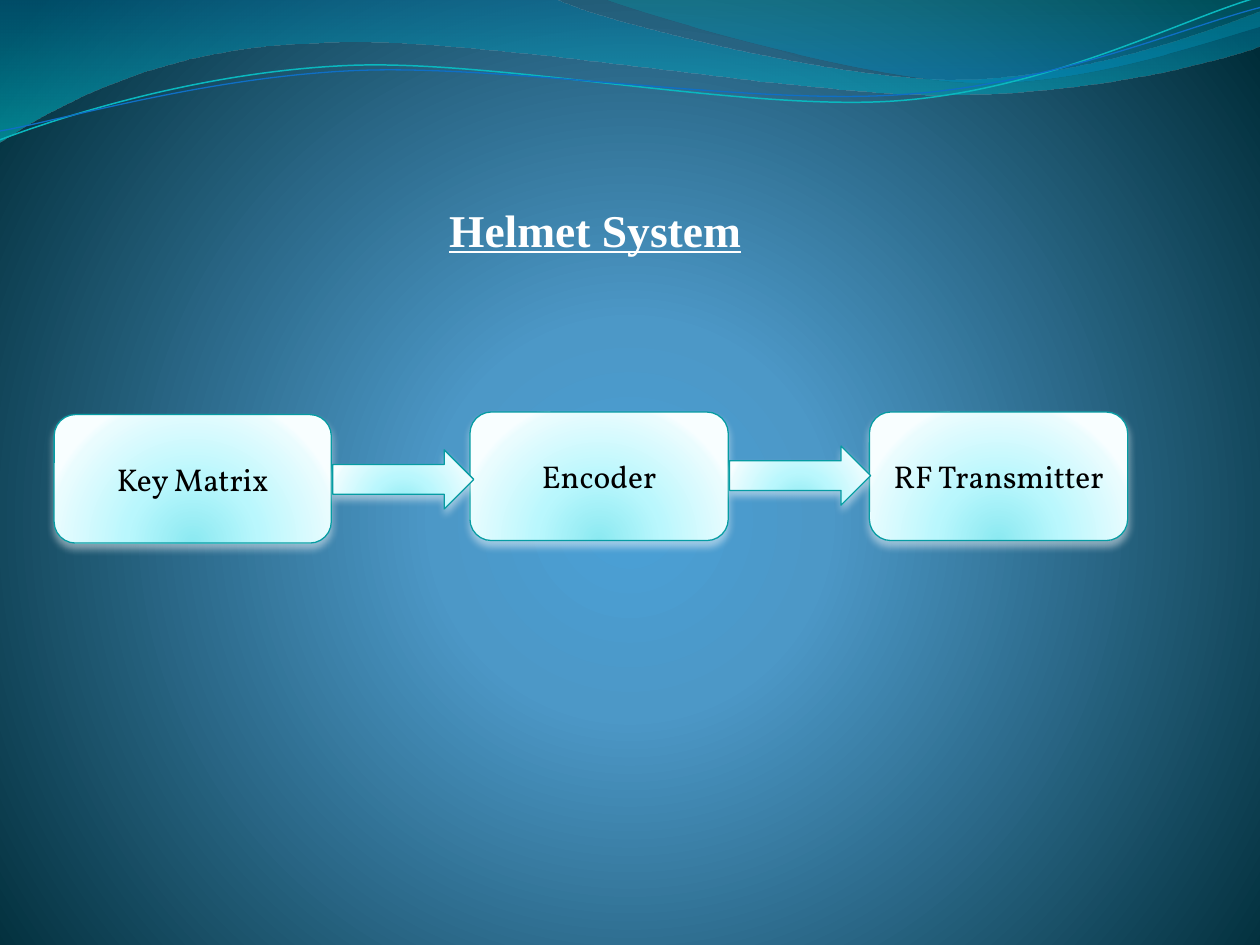
"""Build the Helmet System block diagram slide."""
from dataclasses import dataclass
from lxml import etree
from pptx import Presentation
from pptx.dml.color import RGBColor as RGB
from pptx.enum.shapes import MSO_SHAPE as Kind
from pptx.enum.text import MSO_ANCHOR as Anchor, PP_ALIGN as Align
from pptx.oxml.ns import qn
from pptx.util import Inches, Pt


@dataclass(frozen=True)
class Theme:
    back: tuple = ((0, "4AA0D6", 100), (25, "4C98C7", 100), (100, "002C38", 100))
    block: tuple = ((0, "8BE9F1", 100), (43, "B9F7FD", 100), (93, "EAFCFE", 100), (100, "F8FEFF", 100))
    broad: tuple = ((0, "0074A1", 45), (100, "00C6CF", 55))
    slim: tuple = ((0, "00A1A9", 30), (80, "008BBF", 45))
    cyan: str = "0AB8BF"
    blue: str = "0F6FC6"
    edge: str = "069CA3"
    glow: str = "FFFFFF"
    ink: str = "000000"
    head: str = "FFFFFF"
    head_font: str = "Times New Roman"
    font: str = "Vollkorn"
    head_size: int = 26
    size: int = 18


def shade(fill, root, stops, focus=None):
    fill.gradient()
    grad = root.find(".//" + qn("a:gradFill"))
    grad.clear()
    grad.set("rotWithShape", "1")
    ramp = etree.SubElement(grad, qn("a:gsLst"))
    for pos, tint, alpha in stops:
        stop = etree.SubElement(ramp, qn("a:gs"), pos=str(pos * 1000))
        color = etree.SubElement(stop, qn("a:srgbClr"), val=tint)
        if alpha < 100:
            etree.SubElement(color, qn("a:alpha"), val=str(alpha * 1000))
    if focus:
        path = etree.SubElement(grad, qn("a:path"), path="circle")
        sides = {side: str(num * 1000) for side, num in zip("ltrb", focus)}
        etree.SubElement(path, qn("a:fillToRect"), **sides)
    else:
        etree.SubElement(grad, qn("a:lin"), ang="5400000", scaled="1")


def sweep(shapes, start, parts, close):
    dots = [(Inches(part[i]), Inches(part[i + 1])) for part in parts for i in range(0, len(part), 2)]
    pen = shapes.build_freeform(Inches(start[0]), Inches(start[1]))
    pen.add_line_segments(dots, close=close)
    wave = pen.convert_to_shape()
    route = wave.element.find(".//" + qn("a:path"))
    legs = iter(route.findall(qn("a:lnTo")))
    for part in parts:
        leg = next(legs)
        if len(part) == 6:
            leg.addprevious(curve := etree.Element(qn("a:cubicBezTo")))
            for node in (leg, next(legs), next(legs)):
                curve.append(node[0])
                route.remove(node)
    return wave


theme = Theme()
deck = Presentation()
deck.slide_width, deck.slide_height = Inches(10), Inches(7.5)
slide = deck.slides.add_slide(deck.slide_layouts[5])
shapes = slide.shapes
shade(slide.background.fill, slide.element, theme.back, (10, 110, 10, 100))

waves = [
    ((0, 0), [(4.4, -0.01), (4.76, 0.17, 6.64, 0.63, 7.58, 0.63),
              (8.53, 0.63, 9.58, 0.26, 10, 0.09), (10.01, 0.36),
              (9.83, 0.44, 8.7, 0.76, 7.46, 0.75), (6.22, 0.75, 3.82, 0.28, 2.57, 0.34),
              (1.29, 0.36, 0.46, 0.83, -0.01, 1.13), (0, 0)], theme.broad, None, 0),
    ((4.79, -0.01), [(5.09, 0.11, 6.82, 0.62, 7.69, 0.65),
                     (8.56, 0.69, 9.61, 0.32, 10, 0.21), (10, 0), (4.79, -0.01)], theme.slim, None, 0),
    ((0, 1.11), [(0.48, 0.93, 1.58, 0.57, 2.77, 0.52), (3.95, 0.47, 5.93, 0.89, 7.13, 0.8),
                 (8.33, 0.71, 9.38, 0.15, 9.98, -0.02)], None, theme.cyan, 0.85),
    ((0, 1.04), [(0.47, 0.96, 1.64, 0.61, 2.83, 0.56), (4.03, 0.51, 5.97, 0.84, 7.17, 0.75),
                 (8.36, 0.67, 9.41, 0.21, 10, 0.06)], None, theme.blue, 0.75),
]
for start, parts, stops, tint, width in waves:
    wave = sweep(shapes, start, parts, stops is not None)
    wave.shadow.inherit = False
    if stops:
        shade(wave.fill, wave.element, stops)
        wave.line.fill.background()
    else:
        wave.fill.background()
        wave.line.color.rgb = RGB.from_string(tint)
        wave.line.width = Pt(width)

blocks = [
    (Kind.ROUNDED_RECTANGLE, 3.73, 3.27, 2.05, 1.02, "Encoder"),
    (Kind.ROUNDED_RECTANGLE, 6.9, 3.27, 2.05, 1.02, "RF Transmitter"),
    (Kind.RIGHT_ARROW, 5.79, 3.54, 1.12, 0.47, ""),
    (Kind.ROUNDED_RECTANGLE, 0.43, 3.29, 2.2, 1.02, "Key Matrix"),
    (Kind.RIGHT_ARROW, 2.64, 3.57, 1.12, 0.47, ""),
]
for kind, left, top, width, height, label in blocks:
    block = shapes.add_shape(kind, Inches(left), Inches(top), Inches(width), Inches(height))
    shade(block.fill, block.element, theme.block, (50, 130, 50, -30))
    block.line.color.rgb = RGB.from_string(theme.edge)
    block.line.width = Pt(0.75)
    block.shadow.inherit = False
    cast = etree.SubElement(block.element.spPr.find(qn("a:effectLst")), qn("a:outerShdw"),
                            blurRad=str(Pt(4.5)), dist=str(Pt(3)), dir="5400000", rotWithShape="0")
    color = etree.SubElement(cast, qn("a:srgbClr"), val=theme.glow)
    etree.SubElement(color, qn("a:alpha"), val="48000")
    if label:
        frame = block.text_frame
        frame.text = label
        frame.vertical_anchor = Anchor.MIDDLE
        frame.paragraphs[0].alignment = Align.CENTER
        font = frame.paragraphs[0].runs[0].font
        font.name, font.size = theme.font, Pt(theme.size)
        font.color.rgb = RGB.from_string(theme.ink)

title = shapes.title
title.left, title.top = Inches(0.46), Inches(1.55)
title.width, title.height = Inches(8.59), Inches(0.9)
frame = title.text_frame
frame.text = "Helmet System"
frame.vertical_anchor = Anchor.TOP
frame.margin_left, frame.margin_right = 0, Inches(0.06)
frame.margin_top = frame.margin_bottom = Inches(0.05)
line = frame.paragraphs[0]
line.alignment = Align.CENTER
line.space_before = Pt(5)
font = line.runs[0].font
font.name, font.size = theme.head_font, Pt(theme.head_size)
font.bold = font.underline = True
font.color.rgb = RGB.from_string(theme.head)

deck.save("out.pptx")
